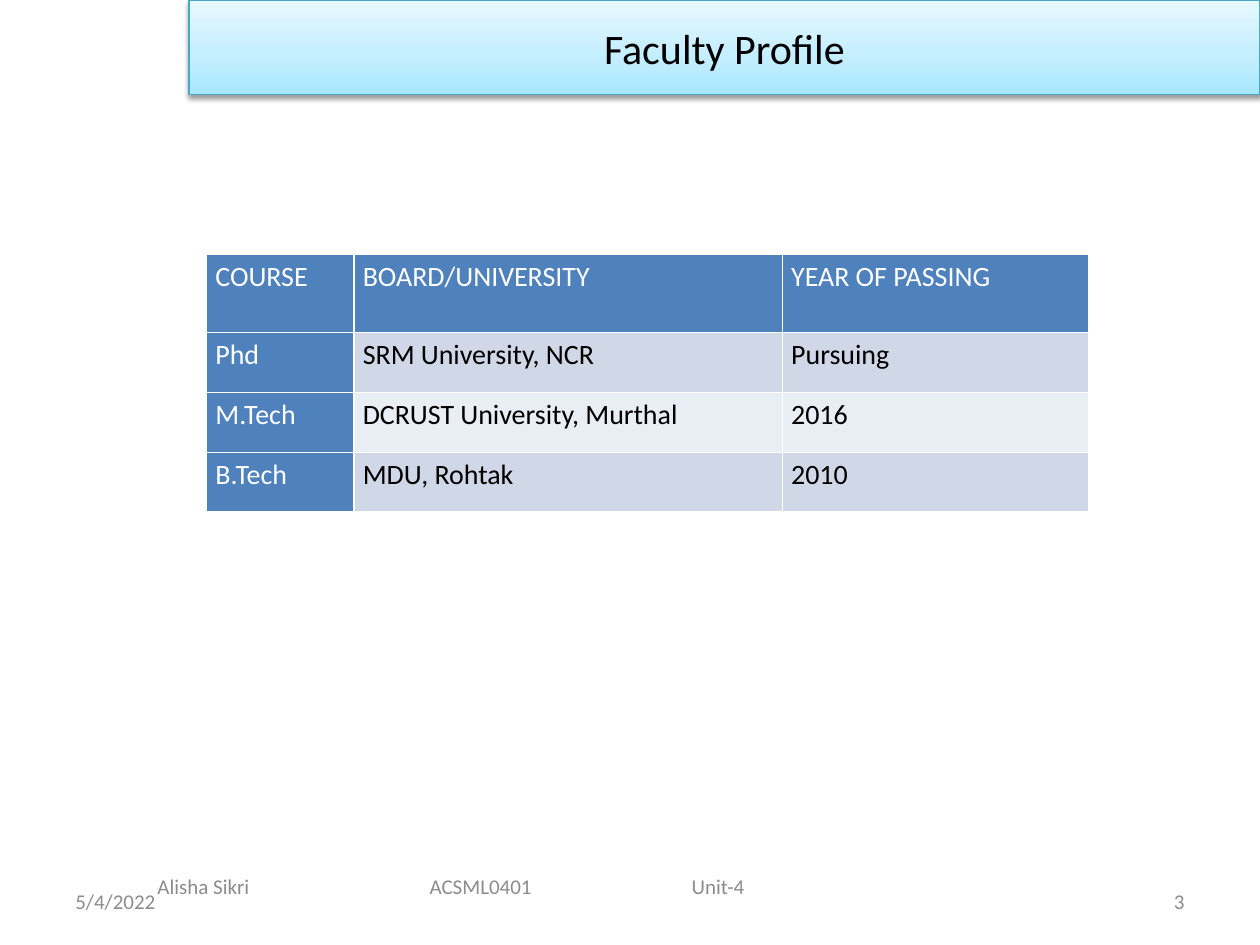
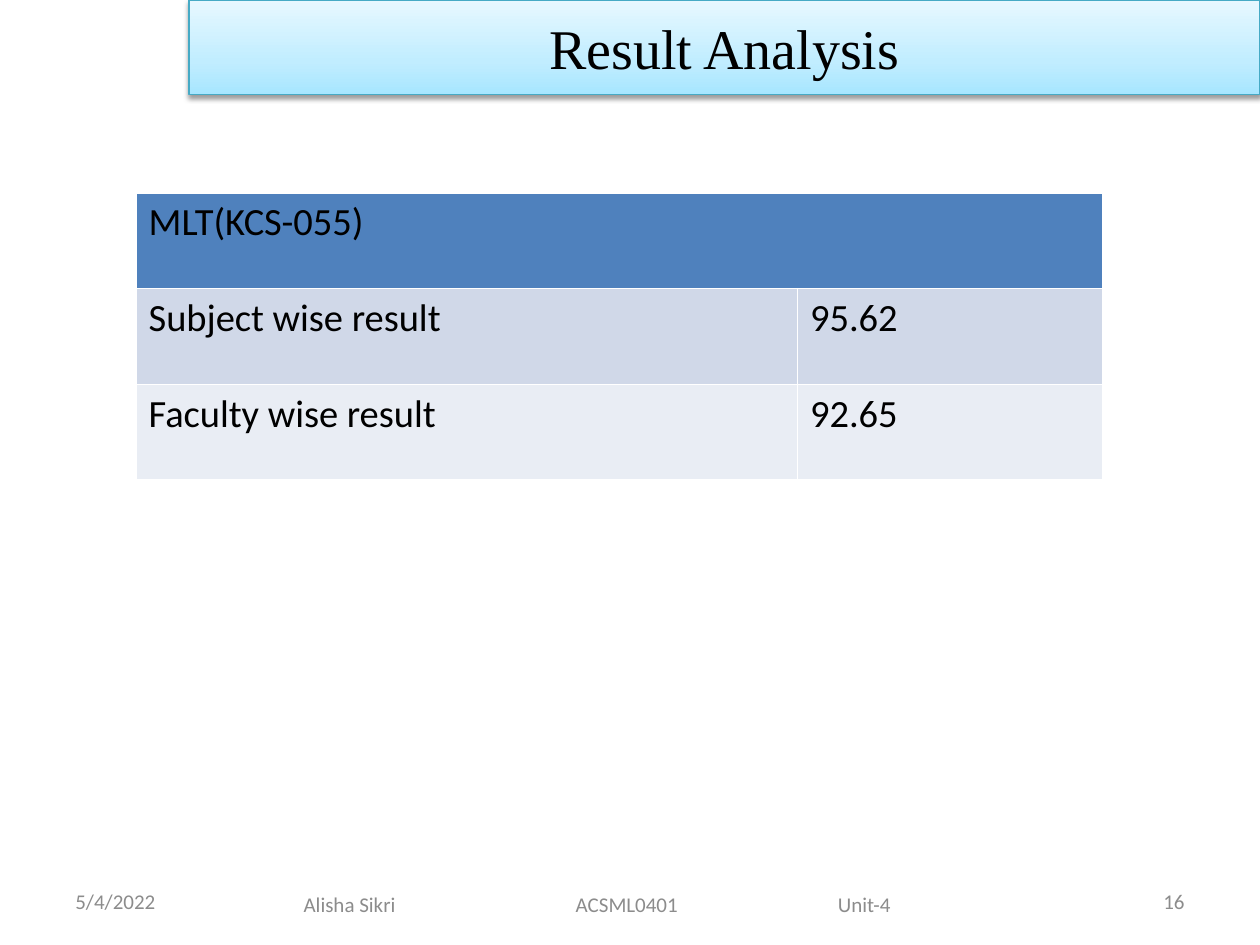
from lxml import etree
from pptx import Presentation, oxml
from pptx import util as u
from pptx.dml.color import RGBColor
from pptx.enum import shapes, text
from pptx.oxml import ns

COLORS = {
    "ink": "000000", "white": "FFFFFF", "footer": "8C8C8C",
    "header": "4F81BD", "band_dark": "D0D8E8", "band_light": "E9EDF4",
    "title_line": "46AAC5", "title_low": "A7E6FF",
    "title_mid": "C1EDFF", "title_high": "E7F8FF",
}
FONT = "Calibri"
WIDTH, HEIGHT = u.Inches(10), u.Inches(7.5)
FOOTER_PARTS = ["Alisha Sikri", "ACSML0401", "Unit-4"]
FOOTER_TABS = [2.16, 4.24]
TITLE_STOPS = [(0, "title_low"), (35, "title_mid"), (100, "title_high")]
ALIGN = text.PP_ALIGN


def rgb(color):
    return RGBColor.from_string(COLORS[color])


def xml(markup):
    return oxml.parse_xml(markup.replace(">", f" {ns.nsdecls('a')}>", 1))


def style(paragraph, size, color, font=FONT, align=ALIGN.LEFT):
    paragraph.alignment = align
    for run in paragraph.runs:
        run.font.size = u.Pt(size)
        run.font.name = font
        run.font.bold = False
        run.font.color.rgb = rgb(color)


def add_title(slide, title, size, font):
    band = slide.shapes.add_shape(
        shapes.MSO_SHAPE.RECTANGLE, int(WIDTH * 0.15), 0, int(WIDTH * 0.85), int(HEIGHT * 0.1))
    band.line.color.rgb = rgb("title_line")
    band.line.width = u.Pt(0.75)
    band.shadow.inherit = False
    stops = "".join(
        f'<a:gs pos="{share * 1000}"><a:srgbClr val="{COLORS[color]}"/></a:gs>'
        for share, color in TITLE_STOPS)
    properties = band._element.spPr
    properties.insert(2, xml(
        f'<a:gradFill rotWithShape="1"><a:gsLst>{stops}</a:gsLst>'
        '<a:lin ang="16200000" scaled="0"/></a:gradFill>'))
    properties.find(ns.qn("a:effectLst")).append(xml(
        f'<a:outerShdw blurRad="{u.Pt(3.1)}" dist="{u.Pt(1.6)}" dir="5400000" rotWithShape="0">'
        f'<a:srgbClr val="{COLORS["ink"]}"><a:alpha val="38000"/></a:srgbClr></a:outerShdw>'))
    band.text_frame.text = title
    band.text_frame.vertical_anchor = text.MSO_ANCHOR.MIDDLE
    style(band.text_frame.paragraphs[0], size, "ink", font, ALIGN.CENTER)


def add_footer_text(slide, words, box, align=ALIGN.LEFT, inset=0.1, tabs=()):
    frame = slide.shapes.add_textbox(*map(u.Inches, box)).text_frame
    frame.word_wrap = True
    frame.vertical_anchor = text.MSO_ANCHOR.MIDDLE
    frame.margin_left = u.Inches(inset)
    frame.text = words
    paragraph = frame.paragraphs[0]
    if tabs:
        tab_list = etree.SubElement(paragraph._p.get_or_add_pPr(), ns.qn("a:tabLst"))
        for stop in tabs:
            etree.SubElement(tab_list, ns.qn("a:tab"), pos=str(u.Inches(stop)), algn="l")
    style(paragraph, 12, "footer", align=align)


def add_footer(slide, number, course_box, course_inset):
    add_footer_text(slide, "5/4/2022", (0.5, 6.95, 2.33, 0.4))
    add_footer_text(slide, number, (7.17, 6.95, 2.33, 0.4), ALIGN.RIGHT)
    add_footer_text(slide, "\t".join(FOOTER_PARTS), course_box,
                    inset=course_inset, tabs=FOOTER_TABS)


def add_borders(cell):
    for index, side in enumerate(("lnL", "lnR", "lnT", "lnB")):
        cell._tc.get_or_add_tcPr().insert(index, xml(
            f'<a:{side} w="{u.Pt(1)}"><a:solidFill><a:srgbClr val="{COLORS["white"]}"/>'
            f'</a:solidFill></a:{side}>'))


def add_table(slide, corner, columns, heights, rows, size, header_color,
              insets=(0.1, 0.05), align=ALIGN.LEFT, spacing=1.0, header_column=False):
    left, top = corner
    table = slide.shapes.add_table(
        len(rows), len(columns), u.Inches(left), u.Inches(top),
        u.Inches(sum(columns)), u.Inches(sum(heights))).table
    table.first_row = table.horz_banding = False
    for column, width in zip(table.columns, columns):
        column.width = u.Inches(width)
    for row, height in zip(table.rows, heights):
        row.height = u.Inches(height)
    for r, values in enumerate(rows):
        if len(values) < len(columns):
            table.cell(r, 0).merge(table.cell(r, len(columns) - 1))
        for c in range(len(columns)):
            cell = table.cell(r, c)
            is_header = r == 0 or (header_column and c == 0)
            band = "band_dark" if r % 2 else "band_light"
            cell.fill.solid()
            cell.fill.fore_color.rgb = rgb("header" if is_header else band)
            add_borders(cell)
            cell.margin_left = cell.margin_right = u.Inches(insets[0])
            cell.margin_top = cell.margin_bottom = u.Inches(insets[1])
            if c < len(values):
                cell.text_frame.text = values[c]
                paragraph = cell.text_frame.paragraphs[0]
                paragraph.line_spacing = spacing
                style(paragraph, size, header_color if is_header else "ink", align=align)


def add_faculty_profile(slide):
    add_footer(slide, "3", (0.83, 6.83, 5.5, 0.4), 0.42)
    add_title(slide, "Faculty Profile", 24, FONT)
    add_table(
        slide, (1.64, 2.02), [1.17, 3.4, 2.43], [0.62] + [0.475] * 3,
        [["COURSE", "BOARD/UNIVERSITY", "YEAR OF PASSING"],
         ["Phd", "SRM University, NCR", "Pursuing"],
         ["M.Tech", "DCRUST University, Murthal", "2016"],
         ["B.Tech", "MDU, Rohtak", "2010"]],
        16, "white", (0.07, 0), ALIGN.JUSTIFY, 1.15, True)


def add_result_analysis(slide):
    add_footer(slide, "16", (1.5, 7, 6.5, 0.35), 0.91)
    add_title(slide, "Result Analysis", 32, "Times New Roman")
    add_table(
        slide, (1.08, 1.53), [5.25, 2.42], [0.76] * 3,
        [["MLT(KCS-055)"],
         ["Subject wise result", "95.62"],
         ["Faculty wise result", "92.65"]],
        22, "ink")


def main():
    deck = Presentation()
    deck.slide_width, deck.slide_height = WIDTH, HEIGHT
    for build in (add_faculty_profile, add_result_analysis):
        build(deck.slides.add_slide(deck.slide_layouts[6]))
    deck.save("out.pptx")


if __name__ == "__main__":
    main()
